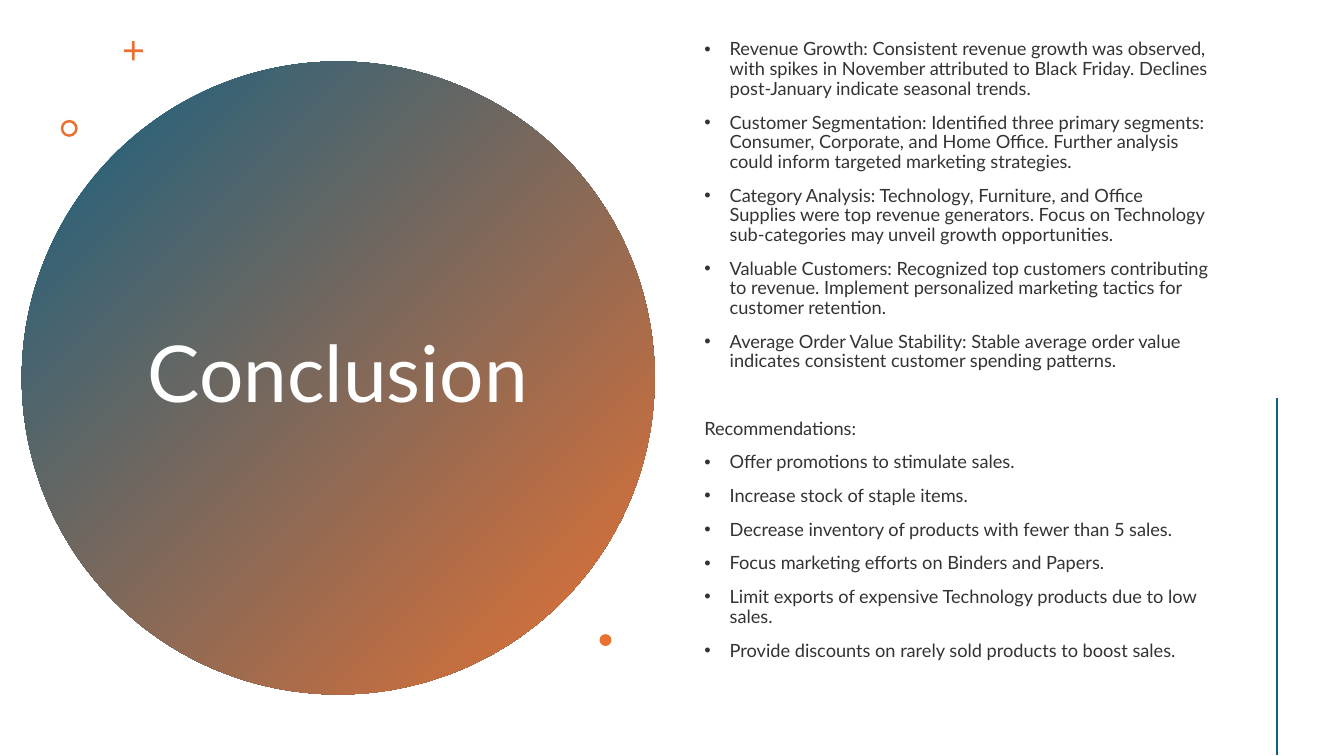
"""Build the conclusion slide with its findings and recommendations."""
from lxml.etree import SubElement
from pptx import Presentation
from pptx.dml.color import RGBColor
from pptx.enum.shapes import MSO_CONNECTOR as Connector, MSO_SHAPE as Preset
from pptx.enum.text import MSO_ANCHOR as Anchor, PP_ALIGN as Align
from pptx.oxml.ns import qn
from pptx.util import Cm, Pt

BLUE = RGBColor(0x15, 0x60, 0x82)
ORANGE = RGBColor(0xE9, 0x71, 0x32)
WHITE = RGBColor(0xFF, 0xFF, 0xFF)
INK = RGBColor(0x33, 0x33, 0x33)
FONT = "Lato"

FINDINGS = [
    "Revenue Growth: Consistent revenue growth was observed, with spikes in November "
    "attributed to Black Friday. Declines post-January indicate seasonal trends.",
    "Customer Segmentation: Identified three primary segments: Consumer, Corporate, and "
    "Home Office. Further analysis could inform targeted marketing strategies.",
    "Category Analysis: Technology, Furniture, and Office Supplies were top revenue "
    "generators. Focus on Technology sub-categories may unveil growth opportunities.",
    "Valuable Customers: Recognized top customers contributing to revenue. Implement "
    "personalized marketing tactics for customer retention.",
    "Average Order Value Stability: Stable average order value indicates consistent "
    "customer spending patterns.",
]
HEADING = "Recommendations:"
RECOMMENDATIONS = [
    "Offer promotions to stimulate sales.",
    "Increase stock of staple items.",
    "Decrease inventory of products with fewer than 5 sales.",
    "Focus marketing efforts on Binders and Papers.",
    "Limit exports of expensive Technology products due to low sales.",
    "Provide discounts on rarely sold products to boost sales.",
]


def add_ornament(slide, preset, left, top, size):
    """Add a square orange preset shape without outline and return it."""
    ornament = slide.shapes.add_shape(preset, left, top, size, size)
    ornament.shadow.inherit = False
    ornament.fill.solid()
    ornament.fill.fore_color.rgb = ORANGE
    ornament.line.fill.background()
    return ornament


def add_text_frame(slide, left, top, width, height, anchor):
    """Add a wrapping text box and return its text frame."""
    frame = slide.shapes.add_textbox(left, top, width, height).text_frame
    frame.word_wrap = True
    frame.vertical_anchor = anchor
    return frame


def style_paragraph(paragraph, size, color):
    """Set the line spacing and font of a paragraph."""
    paragraph.line_spacing = 0.9
    for run in paragraph.runs:
        run.font.name = FONT
        run.font.size = Pt(size)
        run.font.color.rgb = color


def add_bullet(paragraph):
    """Give a paragraph a hanging round bullet."""
    properties = paragraph._p.get_or_add_pPr()
    properties.set("marL", str(Cm(0.64)))
    properties.set("indent", str(-Cm(0.64)))
    SubElement(properties, qn("a:buFont"), typeface="Arial")
    SubElement(properties, qn("a:buChar"), char="•")


def add_title_circle(slide, left, top, size):
    """Place the gradient circle, its title and the ornaments around it."""
    circle = add_ornament(slide, Preset.OVAL, left, top, size)
    circle.fill.gradient()
    circle.fill.gradient_angle = 315
    for stop, color in zip(circle.fill.gradient_stops, (BLUE, ORANGE)):
        stop.color.rgb = color

    title_frame = add_text_frame(slide, left + Cm(2.9), top + Cm(2.03),
                                 Cm(10.13), Cm(11.86), Anchor.MIDDLE)
    title_frame.text = "Conclusion"
    title = title_frame.paragraphs[0]
    title.alignment = Align.CENTER
    style_paragraph(title, 56, WHITE)

    plus = add_ornament(slide, Preset.CROSS, left + Cm(2.57), top - Cm(0.51), Cm(0.48))
    plus.adjustments[0] = 0.43
    ring = add_ornament(slide, Preset.DONUT, left + Cm(0.98), top + Cm(1.47), Cm(0.43))
    ring.adjustments[0] = 0.15
    add_ornament(slide, Preset.OVAL, left + Cm(14.56), top + Cm(14.43), Cm(0.3))


def add_summary(slide, left, top, width, height):
    """Place the findings and the recommendations in one text box."""
    summary = add_text_frame(slide, left, top, width, height, Anchor.TOP)
    summary.text = "\n".join([*FINDINGS, HEADING, *RECOMMENDATIONS])
    for position, paragraph in enumerate(summary.paragraphs):
        is_heading = paragraph.text == HEADING
        if not is_heading:
            add_bullet(paragraph)
        if position:
            paragraph.space_before = Pt(34 if is_heading else 10)
        style_paragraph(paragraph, 13, INK)


def add_side_rule(slide, left, top, height):
    """Draw the vertical rule at the right edge."""
    rule = slide.shapes.add_connector(Connector.STRAIGHT, left, top, left, top + height)
    rule.line.color.rgb = BLUE
    rule.line.width = Pt(2)
    SubElement(rule._element.spPr, qn("a:effectLst"))


def main():
    """Build and save the slide."""
    deck = Presentation()
    deck.slide_width, deck.slide_height = Cm(33.87), Cm(19.05)
    slide = deck.slides.add_slide(deck.slide_layouts[6])
    add_title_circle(slide, Cm(0.55), Cm(1.55), Cm(15.95))
    add_summary(slide, Cm(17.5), Cm(0.89), Cm(13.26), Cm(16.2))
    add_side_rule(slide, Cm(32.18), Cm(10.03), Cm(9))
    deck.save("out.pptx")


if __name__ == "__main__":
    main()
